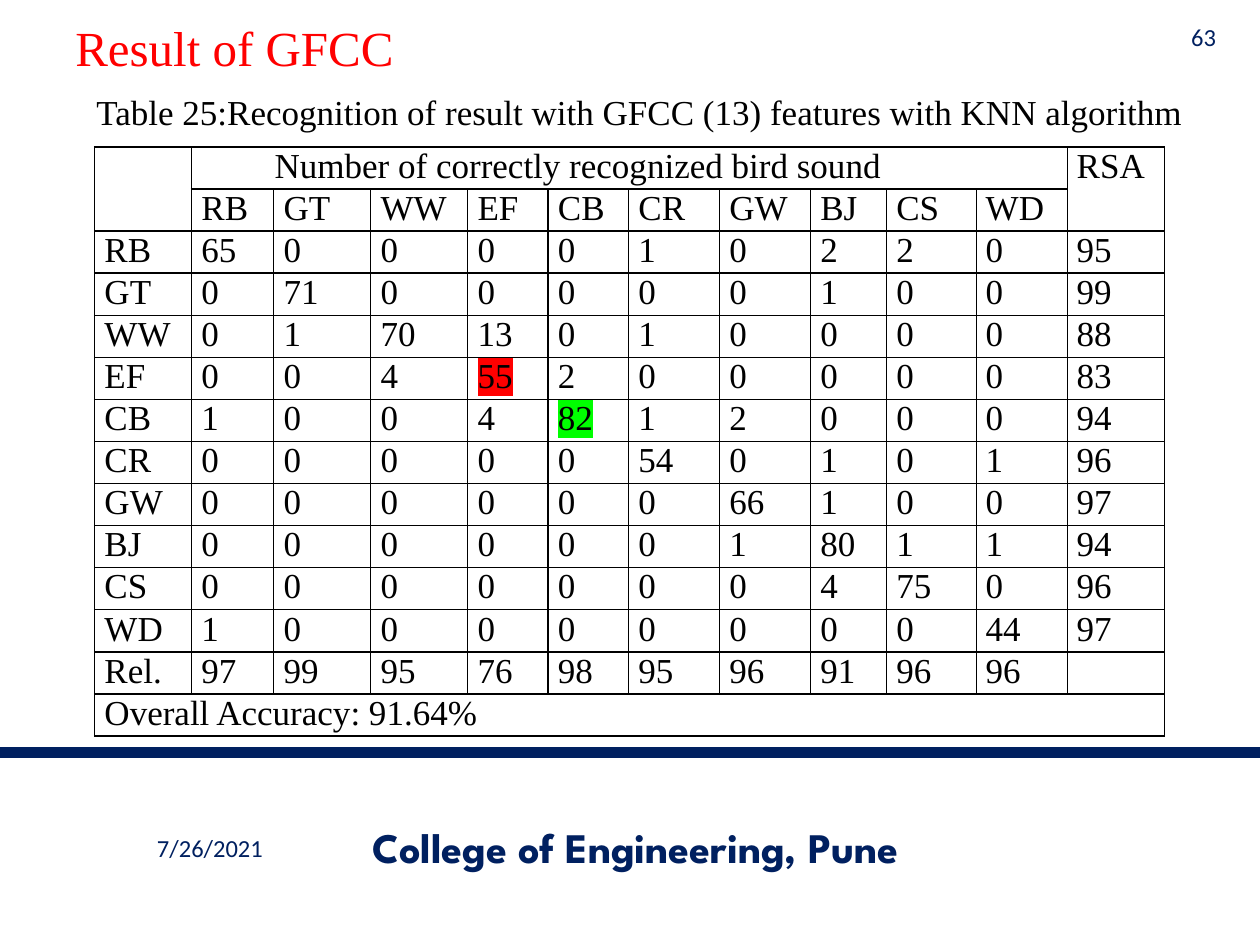
"""Build the slide with the GFCC recognition table."""
import pptx
import pptx.util
import pptx.dml.color
import pptx.enum.shapes
import pptx.enum.text
import pptx.oxml
from pptx.oxml.ns import nsdecls

Pt = pptx.util.Pt
RGB = pptx.dml.color.RGBColor
ALIGN = pptx.enum.text.PP_ALIGN
ANCHOR = pptx.enum.text.MSO_ANCHOR
NAVY = RGB(0x00, 0x20, 0x60)
RED = RGB(0xFF, 0x00, 0x00)
GREEN = RGB(0x00, 0xFF, 0x00)
BLACK = RGB(0x00, 0x00, 0x00)

SERIF = {"name": "Times New Roman", "size": Pt(20)}
SMALL = {"name": "Calibri", "size": Pt(14)}
BRAND = {"name": "League Spartan", "size": Pt(24), "bold": True}
TITLE = {"name": "Times New Roman", "size": Pt(28)}

TEXTS = [
    ("Result of GFCC", (36, -18, 648, 90), ALIGN.LEFT, ANCHOR.MIDDLE, TITLE, RED),
    ("7/26/2021", (36, 470.2, 168, 28.8), ALIGN.CENTER, ANCHOR.MIDDLE, SMALL, NAVY),
    ("College of Engineering, Pune", (174, 469.5, 378, 28.8),
     ALIGN.CENTER, ANCHOR.MIDDLE, BRAND, NAVY),
    ("63", (666, 11, 36, 20), ALIGN.RIGHT, ANCHOR.MIDDLE, SMALL, NAVY),
    ("Table 25:Recognition of result with GFCC (13) features with KNN algorithm",
     (41.5, 48.2, 648, 31.5), ALIGN.CENTER, ANCHOR.TOP, SERIF, BLACK),
]

BIRDS = ["RB", "GT", "WW", "EF", "CB", "CR", "GW", "BJ", "CS", "WD"]
COUNTS = [
    [65, 0, 0, 0, 0, 1, 0, 2, 2, 0],
    [0, 71, 0, 0, 0, 0, 0, 1, 0, 0],
    [0, 1, 70, 13, 0, 1, 0, 0, 0, 0],
    [0, 0, 4, 55, 2, 0, 0, 0, 0, 0],
    [1, 0, 0, 4, 82, 1, 2, 0, 0, 0],
    [0, 0, 0, 0, 0, 54, 0, 1, 0, 1],
    [0, 0, 0, 0, 0, 0, 66, 1, 0, 0],
    [0, 0, 0, 0, 0, 0, 1, 80, 1, 1],
    [0, 0, 0, 0, 0, 0, 0, 4, 75, 0],
    [1, 0, 0, 0, 0, 0, 0, 0, 0, 44],
]
RSA = [95, 99, 88, 83, 94, 96, 97, 94, 96, 97]
REL = [97, 99, 95, 76, 98, 95, 96, 91, 96, 96]
ROWS = [
    ["", "Number of correctly recognized bird sound"] + [""] * 9 + ["RSA"],
    [""] + BIRDS + [""],
    *([bird, *row, rate] for bird, row, rate in zip(BIRDS, COUNTS, RSA)),
    ["Rel.", *REL, ""],
    ["Overall Accuracy: 91.64%"] + [""] * 11,
]
WIDTHS = [55.4, 47, 55.4, 55.4, 46, 46, 52, 52, 43.4, 51.6, 52, 55.4]
MERGES = [((0, 0), (1, 0)), ((0, 1), (0, 10)), ((0, 11), (1, 11)),
          ((13, 0), (13, 11))]
MARKS = {(5, 4): RED, (6, 5): GREEN}
INDENTS = {(0, 1): 47.5}
ROW = 24


def style(run, form, color):
    for key, value in form.items():
        setattr(run.font, key, value)
    run.font.color.rgb = color


def add_text(slide, text, box, align, anchor, form, color):
    frame = slide.shapes.add_textbox(*map(Pt, box)).text_frame
    frame.word_wrap = True
    frame.vertical_anchor = anchor
    para = frame.paragraphs[0]
    para.alignment = align
    run = para.add_run()
    run.text = text
    style(run, form, color)


def add_edges(cell):
    props = cell._tc.get_or_add_tcPr()
    for side in ("lnL", "lnR", "lnT", "lnB"):
        props.append(pptx.oxml.parse_xml(
            f'<a:{side} {nsdecls("a")} w="{Pt(1)}"><a:solidFill>'
            f'<a:srgbClr val="{BLACK}"/></a:solidFill></a:{side}>'))


def mark(run, color):
    light = pptx.oxml.parse_xml(
        f'<a:highlight {nsdecls("a")}><a:srgbClr val="{color}"/></a:highlight>')
    run.font.fill._xPr.find(pptx.oxml.ns.qn("a:solidFill")).addnext(light)


def fill_cell(cell, spot, text):
    for side in ("left", "right", "top", "bottom"):
        setattr(cell, f"margin_{side}", 0)
    add_edges(cell)
    cell.fill.background()
    if text == "":
        return
    para = cell.text_frame.paragraphs[0]
    indent = INDENTS.get(spot, 5.2 if spot[1] > 9 else 5.7)
    para._p.get_or_add_pPr().set("marL", str(Pt(indent)))
    run = para.add_run()
    run.text = str(text)
    style(run, SERIF, BLACK)
    if spot in MARKS:
        mark(run, MARKS[spot])


def add_grid(slide):
    table = slide.shapes.add_table(
        len(ROWS), len(WIDTHS), Pt(54), Pt(84),
        Pt(sum(WIDTHS)), Pt(ROW * len(ROWS))).table
    table.first_row = table.horz_banding = False
    for col, width in zip(table.columns, WIDTHS):
        col.width = Pt(width)
    for r, row in enumerate(ROWS):
        table.rows[r].height = Pt(ROW)
        for c, text in enumerate(row):
            fill_cell(table.cell(r, c), (r, c), text)
    for start, end in MERGES:
        table.cell(*start).merge(table.cell(*end))


def add_rule(slide):
    rule = slide.shapes.add_connector(
        pptx.enum.shapes.MSO_CONNECTOR.STRAIGHT, 0, Pt(430), Pt(720), Pt(430))
    rule.line.color.rgb = NAVY
    rule.line.width = Pt(6.5)
    rule._element.spPr.append(
        pptx.oxml.parse_xml(f'<a:effectLst {nsdecls("a")}/>'))


def main():
    deck = pptx.Presentation()
    deck.slide_width, deck.slide_height = Pt(720), Pt(540)
    slide = deck.slides.add_slide(deck.slide_layouts[6])
    add_rule(slide)
    for item in TEXTS:
        add_text(slide, *item)
    add_grid(slide)
    deck.save("out.pptx")


if __name__ == "__main__":
    main()
